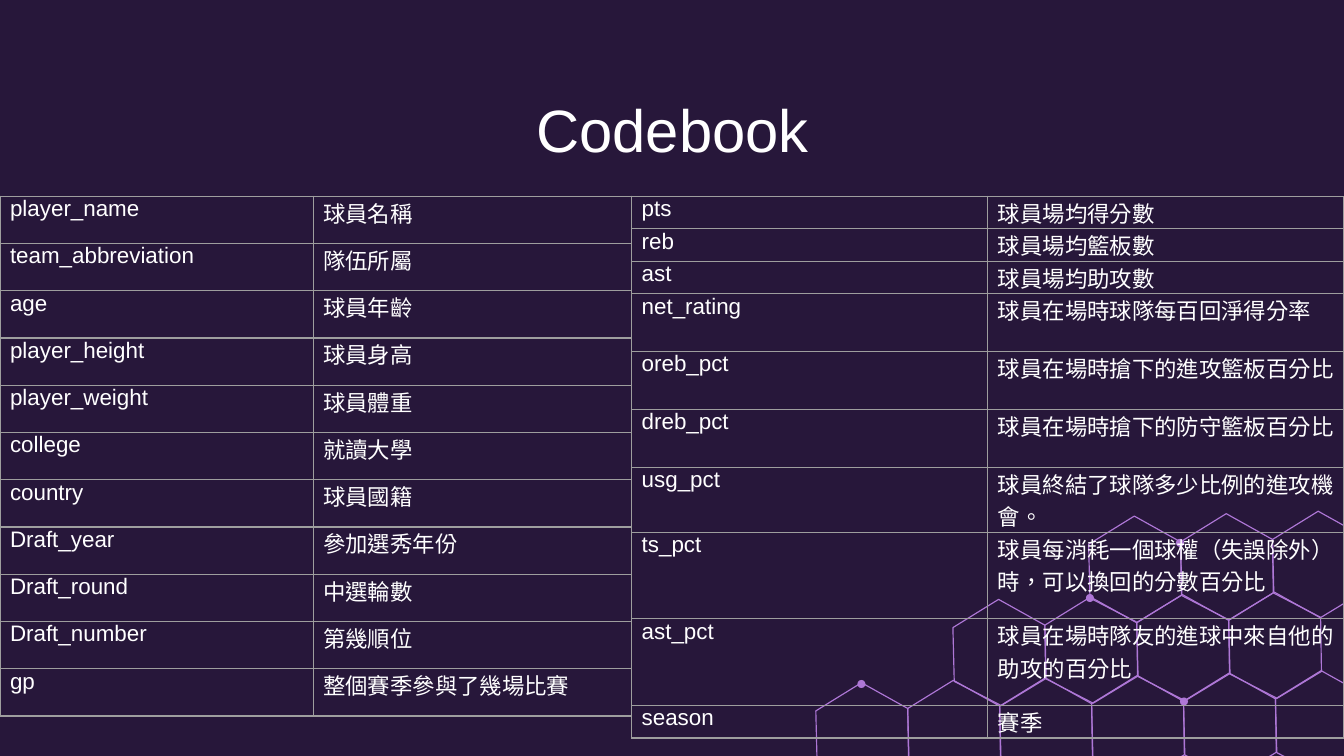
from pptx import Presentation
from pptx.dml.color import RGBColor as RGB
from pptx.enum.lang import MSO_LANGUAGE_ID as Lang
from pptx.enum.shapes import MSO_SHAPE as Shape
from pptx.enum.text import MSO_ANCHOR as Anchor, MSO_AUTO_SIZE as Fit, PP_ALIGN as Align
from pptx.oxml import parse_xml
from pptx.oxml.ns import nsdecls
from pptx.util import Inches, Pt

# Content
TITLE = "Codebook"
LEFT = [
    ("player_name", "球員名稱"),
    ("team_abbreviation", "隊伍所屬"),
    ("age", "球員年齡"),
    ("player_height", "球員身高"),
    ("player_weight", "球員體重"),
    ("college", "就讀大學"),
    ("country", "球員國籍"),
    ("Draft_year", "參加選秀年份"),
    ("Draft_round", "中選輪數"),
    ("Draft_number", "第幾順位"),
    ("gp", "整個賽季參與了幾場比賽"),
]
RIGHT = [
    ("pts", "球員場均得分數"),
    ("reb", "球員場均籃板數"),
    ("ast", "球員場均助攻數"),
    ("net_rating", "球員在場時球隊每百回淨得分率"),
    ("oreb_pct", "球員在場時搶下的進攻籃板百分比"),
    ("dreb_pct", "球員在場時搶下的防守籃板百分比"),
    ("usg_pct", "球員終結了球隊多少比例的進攻機會。"),
    ("ts_pct", "球員每消耗一個球權（失誤除外）時，可以換回的分數百分比"),
    ("ast_pct", "球員在場時隊友的進球中來自他的助攻的百分比"),
    ("season", "賽季"),
]
# Each table: rows, left edge, column widths, row heights in units
TABLES = [
    (LEFT, 0, (2.33, 2.37), [1] * len(LEFT)),
    (RIGHT, 4.7, (2.65, 2.65), [1] * 3 + [2] * 4 + [3] * 2 + [1]),
]
TOP, HEIGHT = 1.46, 3.87

# Honeycomb: first corner and number of cells in each row
COMB = [(6.07, 5.29, 6), (7.09, 4.67, 4), (8.1, 4.05, 3)]
STEP = (3.42 / 5, -0.09 / 5)
HEX = [(0, 0), (0.01, 0.4), (0.36, 0.58), (0.69, 0.38), STEP, (0.34, -0.21)]
DOTS = [(6.41, 5.09), (8.11, 4.45), (8.78, 4.04), (8.81, 5.22)]
DOT = 0.06

COLORS = {"back": "27173A", "comb": "AE77D6", "text": "FFFFFF", "rule": "9E9E9E"}
FONT = "Arial"


def color(name):
    return RGB.from_string(COLORS[name])


def style(para, size):
    for run in para.runs:
        run.font.name = FONT
        run.font.size = Pt(size)
        run.font.bold = False
        run.font.color.rgb = color("text")
        run.font.language_id = Lang.TRADITIONAL_CHINESE


def border(cell):
    props = cell._tc.get_or_add_tcPr()
    for side in "LRTB":
        props.append(parse_xml(
            f'<a:ln{side} {nsdecls("a")} w="{Pt(0.75)}"><a:solidFill>'
            f'<a:srgbClr val="{COLORS["rule"]}"/></a:solidFill></a:ln{side}>'))


def add_hex(shapes, left, top):
    pts = [(Inches(left + x), Inches(top + y)) for x, y in HEX]
    path = shapes.build_freeform(*pts[0])
    path.add_line_segments(pts[1:], close=True)
    cell = path.convert_to_shape()
    cell.shadow.inherit = False
    cell.fill.background()
    cell.line.color.rgb = color("comb")
    cell.line.width = Pt(0.61)


def add_dot(shapes, x, y):
    dot = shapes.add_shape(Shape.OVAL, Inches(x - DOT / 2), Inches(y - DOT / 2),
                           Inches(DOT), Inches(DOT))
    dot.shadow.inherit = False
    dot.fill.solid()
    dot.fill.fore_color.rgb = color("comb")
    dot.line.fill.background()


def add_codes(shapes, rows, left, widths, units):
    frame = shapes.add_table(len(rows), len(widths), Inches(left), Inches(TOP),
                             Inches(sum(widths)), Inches(HEIGHT))
    table = frame.table
    table.first_row = table.horz_banding = False
    for col, width in zip(table.columns, widths):
        col.width = Inches(width)
    for r, (row, unit) in enumerate(zip(rows, units)):
        table.rows[r].height = Inches(HEIGHT * unit / sum(units))
        for c, text in enumerate(row):
            cell = table.cell(r, c)
            cell.margin_left = cell.margin_right = Pt(5.4)
            cell.margin_top = cell.margin_bottom = 0
            border(cell)
            cell.fill.background()
            cell.text_frame.text = text
            style(cell.text_frame.paragraphs[0], 12)


def main():
    deck = Presentation()
    deck.slide_width = Inches(10)
    deck.slide_height = Inches(10 * 9 / 16)
    slide = deck.slides.add_slide(deck.slide_layouts[5])
    shapes = slide.shapes
    slide.background.fill.solid()
    slide.background.fill.fore_color.rgb = color("back")

    # Honeycomb
    for x, y, count in COMB:
        for i in range(count):
            add_hex(shapes, x + i * STEP[0], y + i * STEP[1])
    for x, y in DOTS:
        add_dot(shapes, x, y)

    # Title, in front of the honeycomb
    title = shapes.title
    title.element.getparent().append(title.element)
    title.left, title.top = Inches(0.79), Inches(0.59)
    title.width, title.height = Inches(8.43), Inches(0.63)
    frame = title.text_frame
    frame.text = TITLE
    frame.auto_size = Fit.NONE
    frame.vertical_anchor = Anchor.TOP
    frame.margin_left = frame.margin_right = Inches(0.1)
    frame.margin_top = frame.margin_bottom = Inches(0.1)
    frame.paragraphs[0].alignment = Align.CENTER
    style(frame.paragraphs[0], 32)

    # Code tables
    for rows, left, widths, units in TABLES:
        add_codes(shapes, rows, left, widths, units)

    deck.save("out.pptx")


if __name__ == "__main__":
    main()
